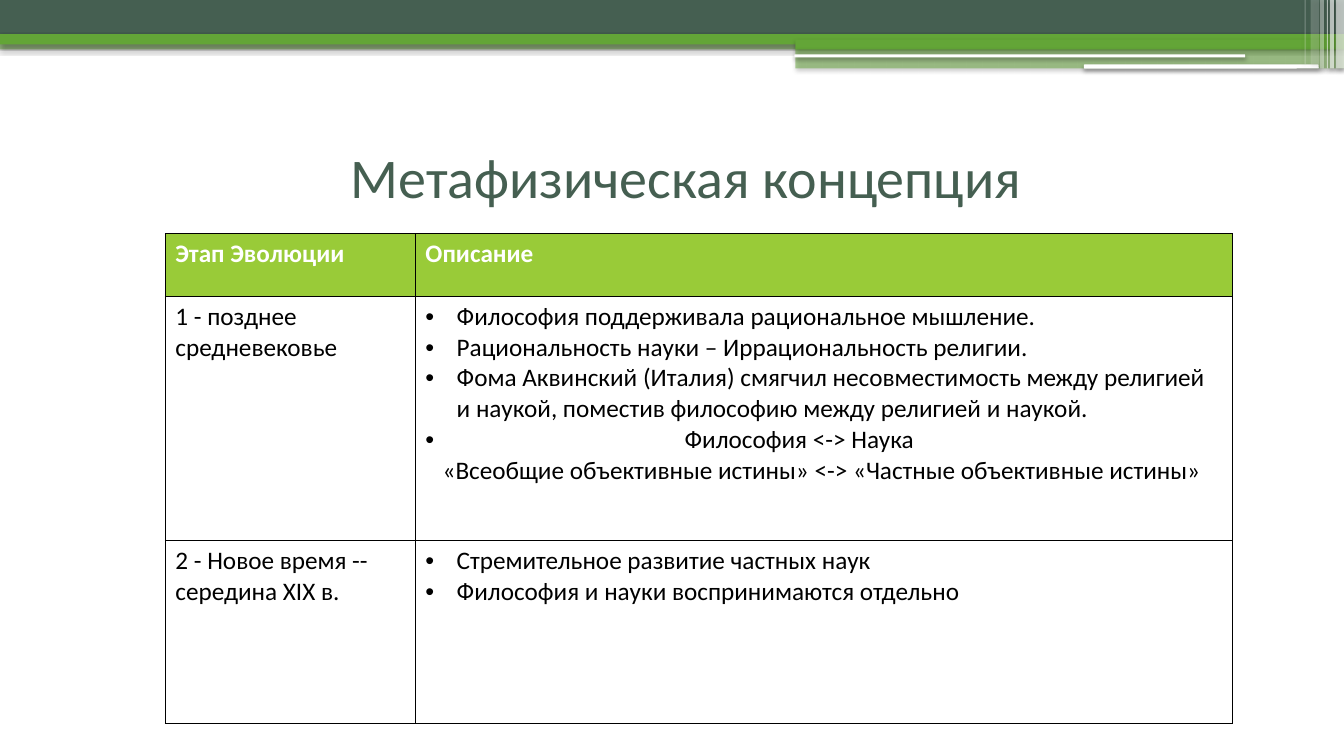
import pptx
import pptx.util
import pptx.dml.color
import pptx.enum.shapes
import pptx.enum.text
import pptx.oxml
import pptx.oxml.ns
from lxml import etree

Inches, Pt = pptx.util.Inches, pptx.util.Pt
qn = pptx.oxml.ns.qn
Shapes = pptx.enum.shapes.MSO_SHAPE

DARK, GREEN, LIME, WHITE, BLACK = "455F51", "63A537", "99CB38", "FFFFFF", "000000"


def rgb(value):
    return pptx.dml.color.RGBColor.from_string(value)


def add_color(parent, value, alpha=100):
    color = etree.SubElement(parent, qn("a:srgbClr"), val=value)
    etree.SubElement(color, qn("a:alpha"), val=str(alpha * 1000))


class SlideBuilder:
    font_name = "Calibri"

    def __init__(self, presentation):
        self.slide = presentation.slides.add_slide(presentation.slide_layouts[5])

    def format_text(self, paragraph, color, **values):
        font = paragraph.font
        for name, value in {"name": self.font_name, **values}.items():
            setattr(font, name, value)
        font.color.rgb = rgb(color)

    def title(self, text, left, top, width, height):
        title = self.slide.shapes.title
        box = {"left": left, "top": top, "width": width, "height": height}
        for name, value in box.items():
            setattr(title, name, Inches(value))
        frame = title.text_frame
        frame.text = text
        frame.vertical_anchor = pptx.enum.text.MSO_ANCHOR.MIDDLE
        paragraph = frame.paragraphs[0]
        paragraph.alignment = pptx.enum.text.PP_ALIGN.LEFT
        self.format_text(paragraph, DARK, size=Pt(40))

    def bar(self, left, top, width, height, color, alpha=100, kind=Shapes.RECTANGLE):
        bar = self.slide.shapes.add_shape(kind, *map(Inches, (left, top, width, height)))
        bar.fill.solid()
        bar.fill.fore_color.rgb = rgb(color)
        bar.line.fill.background()
        bar.shadow.inherit = False
        properties = bar._element.spPr
        fill = properties.find(qn("a:solidFill"))
        etree.SubElement(fill[0], qn("a:alpha"), val=str(alpha * 1000))
        shadow = etree.SubElement(
            properties.find(qn("a:effectLst")), qn("a:outerShdw"),
            blurRad=str(Pt(3.1)), dist=str(Pt(1.6)), dir="5400000", rotWithShape="0")
        add_color(shadow, BLACK, 38)

    def table(self, left, top, widths, heights, rows):
        frame = self.slide.shapes.add_table(
            len(heights), len(widths), Inches(left), Inches(top),
            Inches(sum(widths)), Inches(sum(heights)))
        table = frame.table
        table.first_row = table.horz_banding = False
        for column, width in zip(table.columns, widths):
            column.width = Inches(width)
        for index, (row, height, texts) in enumerate(zip(table.rows, heights, rows)):
            row.height = Inches(height)
            for cell, paragraphs in zip(row.cells, texts):
                self.cell(cell, paragraphs, header=index == 0)

    def cell(self, cell, paragraphs, header):
        properties = cell._tc.get_or_add_tcPr()
        for side in ("a:lnL", "a:lnR", "a:lnT", "a:lnB"):
            line = etree.SubElement(properties, qn(side), w=str(Pt(0.96)))
            add_color(etree.SubElement(line, qn("a:solidFill")), BLACK)
        if header:
            cell.fill.solid()
            cell.fill.fore_color.rgb = rgb(LIME)
        else:
            cell.fill.background()
        frame = cell.text_frame
        frame.text = "\n".join(text for text, *_ in paragraphs)
        for paragraph, (_, indent, bullet) in zip(frame.paragraphs, paragraphs):
            self.format_text(paragraph, WHITE if header else BLACK,
                             size=Pt(18), bold=header)
            self.indent(paragraph, indent, bullet)

    def indent(self, paragraph, indent, bullet):
        properties = paragraph._p.get_or_add_pPr()
        properties.set("marL", str(Inches(indent)))
        properties.set("indent", str(-Inches(indent) if bullet else 0))
        if bullet:
            add_color(etree.SubElement(properties, qn("a:buClr")), BLACK)
            etree.SubElement(properties, qn("a:buFont"), typeface="Arial")
            etree.SubElement(properties, qn("a:buChar"), char="•")
            # Bullet properties come before the default run properties
            default = properties.find(qn("a:defRPr"))
            if default is not None:
                properties.append(default)


def plain(text, indent=0):
    return text, indent, False


def bullet(text, indent=0.31):
    return text, indent, True


presentation = pptx.Presentation()
presentation.slide_width, presentation.slide_height = Inches(13.33), Inches(7.5)
builder = SlideBuilder(presentation)

# Header bands
for band in (
    (0, 0.4, 13.33, 0.09, GREEN, 50),
    (0, 0, 13.33, 0.34, DARK),
    (0, 0.34, 13.33, 0.1, GREEN),
    (7.89, 0.39, 5.44, 0.1, GREEN),
    (7.89, 0.48, 5.44, 0.2, GREEN, 50),
):
    builder.bar(*band)

# White rules under the header
for rule in ((7.88, 0.54, 4.47, 0.03), (10.75, 0.64, 2.33, 0.04)):
    builder.bar(*rule, WHITE, kind=Shapes.ROUNDED_RECTANGLE)

# Translucent stripes in the right corner
for left, width, height, alpha in (
    (13.25, 0.08, 0.68, 65),
    (13.19, 0.04, 0.68, 65),
    (13.16, 0.01, 0.68, 60),
    (13.09, 0.04, 0.68, 40),
    (13, 0.08, 0.64, 20),
    (12.94, 0.01, 0.64, 30),
):
    builder.bar(left, 0, width, height, WHITE, alpha)

# Title
builder.title("Метафизическая концепция", 3.38, 1.16, 9.5, 1.17)

# Stages of evolution
builder.table(1.64, 2.32, (2.48, 8.1), (0.62, 2.42, 1.82), [
    ([plain("Этап Эволюции")], [plain("Описание")]),
    ([plain("1 - позднее средневековье")], [
        bullet("Философия поддерживала рациональное мышление."),
        bullet("Рациональность науки – Иррациональность религии."),
        bullet("Фома Аквинский (Италия) смягчил несовместимость между религией "
               "и наукой, поместив философию между религией и наукой."),
        bullet("Философия <-> Наука", 2.57),
        plain("«Всеобщие объективные истины» <-> «Частные объективные истины»", 0.17),
    ]),
    ([plain("2 - Новое время -- середина XIX в.")], [
        bullet("Стремительное развитие частных наук"),
        bullet("Философия и науки воспринимаются отдельно"),
    ]),
])

presentation.save("out.pptx")
